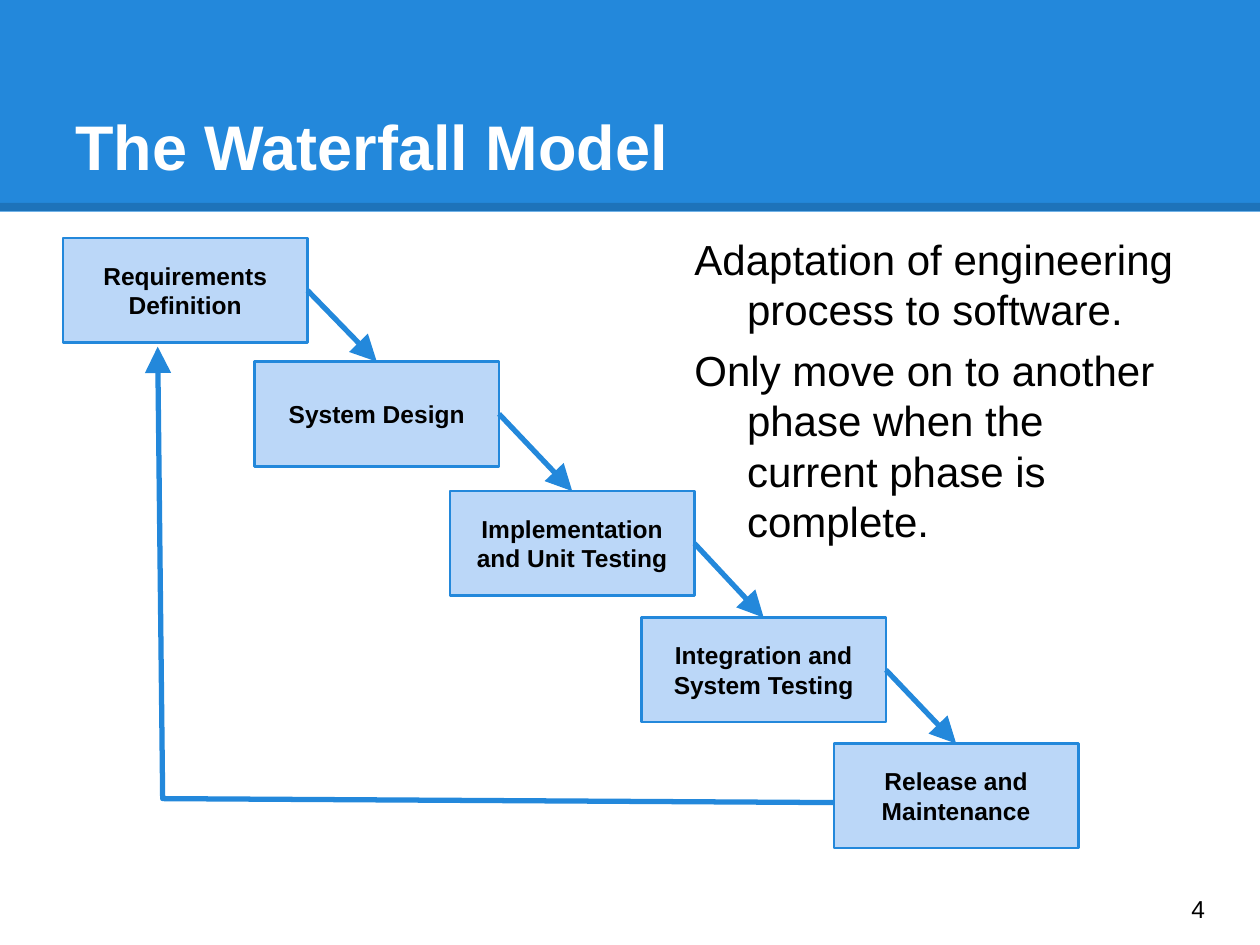
from dataclasses import dataclass
from itertools import pairwise

from lxml import etree
from pptx import Presentation
from pptx import util as u
from pptx.dml.color import RGBColor
from pptx.enum import shapes, text
from pptx.oxml.ns import qn

Cm, Pt = u.Cm, u.Pt


@dataclass(frozen=True)
class Theme:
    font: str = "Arial"
    blue: RGBColor = RGBColor(0x23, 0x88, 0xDB)
    pale: RGBColor = RGBColor(0xBB, 0xD7, 0xF8)
    black: RGBColor = RGBColor(0, 0, 0)
    white: RGBColor = RGBColor(0xFF, 0xFF, 0xFF)
    title_size: int = 36
    body_size: int = 24
    label_size: int = 14


THEME = Theme()
RIGHT_SIDE, TOP_SIDE = 3, 0
PHASE_WIDTH, PHASE_HEIGHT = 4.93, 2.11
PHASES = [
    ("Requirements Definition", 1.27, 4.8),
    ("System Design", 5.13, 7.29),
    ("Implementation and Unit Testing", 9.07, 9.9),
    ("Integration and System Testing", 12.93, 12.45),
    ("Release and Maintenance", 16.81, 14.99),
]
FEEDBACK_PATH = [(16.81, 16.18), (3.28, 16.1), (3.18, 6.99)]
POINTS = [
    "Adaptation of engineering process to software.",
    "Only move on to another phase when the current phase is complete.",
]


def set_frame(shape, anchor):
    frame = shape.text_frame
    frame.word_wrap = True
    frame.auto_size = text.MSO_AUTO_SIZE.NONE
    frame.vertical_anchor = anchor
    frame.margin_left = frame.margin_right = Cm(0.25)
    frame.margin_top = frame.margin_bottom = Cm(0.25)
    return frame


def write(paragraph, words, size, color, bold=False, align=text.PP_ALIGN.LEFT):
    paragraph.text = words
    paragraph.alignment = align
    font = paragraph.font
    font.name, font.size, font.bold = THEME.font, Pt(size), bold
    font.color.rgb = color


def set_line(line, color, width):
    line.color.rgb = color
    line.width = Pt(width)


def add_arrowhead(shape):
    line = shape.line._get_or_add_ln()
    etree.SubElement(line, qn("a:tailEnd"), type="triangle", w="lg", len="lg")


def add_rectangle(slide, left, top, width, height, fill):
    shape = slide.shapes.add_shape(
        shapes.MSO_SHAPE.RECTANGLE, Cm(left), Cm(top), Cm(width), Cm(height))
    shape.shadow.inherit = False
    shape.fill.solid()
    shape.fill.fore_color.rgb = fill
    return shape


def add_connector(slide, start, end):
    connector = slide.shapes.add_connector(
        shapes.MSO_CONNECTOR.STRAIGHT, *map(Cm, start), *map(Cm, end))
    return connector


def remove_shadow(connector):
    etree.SubElement(connector.element.spPr, qn("a:effectLst"))


def add_banner(slide):
    """Draw the header band and its translucent edge behind the title."""
    band = add_rectangle(slide, 0, 0, 25.4, 4.27, THEME.blue)
    band.line.fill.background()
    edge = add_connector(slide, (0, 4.17), (25.4, 4.17))
    set_line(edge.line, THEME.black, 4.5)
    color = edge.line._get_or_add_ln().find(".//" + qn("a:srgbClr"))
    etree.SubElement(color, qn("a:alpha"), val="15000")
    remove_shadow(edge)
    for shape in (band, edge):
        slide.shapes.title.element.addprevious(shape.element)


def set_title(slide, words):
    title = slide.shapes.title
    title.left, title.top = Cm(1.27), Cm(0.76)
    title.width, title.height = Cm(22.86), Cm(3.18)
    frame = set_frame(title, text.MSO_ANCHOR.BOTTOM)
    write(frame.paragraphs[0], words, THEME.title_size, THEME.white, bold=True)


def add_phase(slide, name, left, top):
    box = add_rectangle(slide, left, top, PHASE_WIDTH, PHASE_HEIGHT, THEME.pale)
    set_line(box.line, THEME.blue, 1.5)
    frame = set_frame(box, text.MSO_ANCHOR.MIDDLE)
    write(frame.paragraphs[0], name, THEME.label_size, THEME.black,
          bold=True, align=text.PP_ALIGN.CENTER)
    return box


def join_phases(slide, upper, lower):
    arrow = add_connector(slide, (0, 0), (0, 0))
    arrow.begin_connect(upper, RIGHT_SIDE)
    arrow.end_connect(lower, TOP_SIDE)
    set_line(arrow.line, THEME.blue, 3)
    add_arrowhead(arrow)
    remove_shadow(arrow)


def add_feedback_arrow(slide):
    start, *rest = [(Cm(x), Cm(y)) for x, y in FEEDBACK_PATH]
    builder = slide.shapes.build_freeform(*start)
    builder.add_line_segments(rest, close=False)
    arrow = builder.convert_to_shape()
    arrow.shadow.inherit = False
    arrow.fill.background()
    set_line(arrow.line, THEME.blue, 3)
    add_arrowhead(arrow)


def add_points(slide):
    """Write the points with hanging indents."""
    box = slide.shapes.add_textbox(Cm(13.54), Cm(4.45), Cm(10.59), Cm(13.23))
    frame = set_frame(box, text.MSO_ANCHOR.TOP)
    for index, words in enumerate(POINTS):
        paragraph = frame.add_paragraph() if index else frame.paragraphs[0]
        write(paragraph, words, THEME.body_size, THEME.black)
        paragraph.space_before = Pt(6 if index else 0)
        properties = paragraph._p.get_or_add_pPr()
        properties.set("marL", str(Cm(1.27)))
        properties.set("indent", str(Cm(-1.06)))


def add_page_number(slide, number):
    box = slide.shapes.add_textbox(Cm(23.77), Cm(17.6), Cm(1.52), Cm(1.45))
    frame = set_frame(box, text.MSO_ANCHOR.MIDDLE)
    write(frame.paragraphs[0], number, THEME.label_size, THEME.black)


def main():
    presentation = Presentation()
    presentation.slide_width, presentation.slide_height = Cm(25.4), Cm(19.05)
    slide = presentation.slides.add_slide(presentation.slide_layouts[5])
    add_banner(slide)
    set_title(slide, "The Waterfall Model")
    add_points(slide)
    boxes = [add_phase(slide, *phase) for phase in PHASES]
    for upper, lower in pairwise(boxes):
        join_phases(slide, upper, lower)
    add_feedback_arrow(slide)
    add_page_number(slide, "4")
    presentation.save("out.pptx")


if __name__ == "__main__":
    main()
